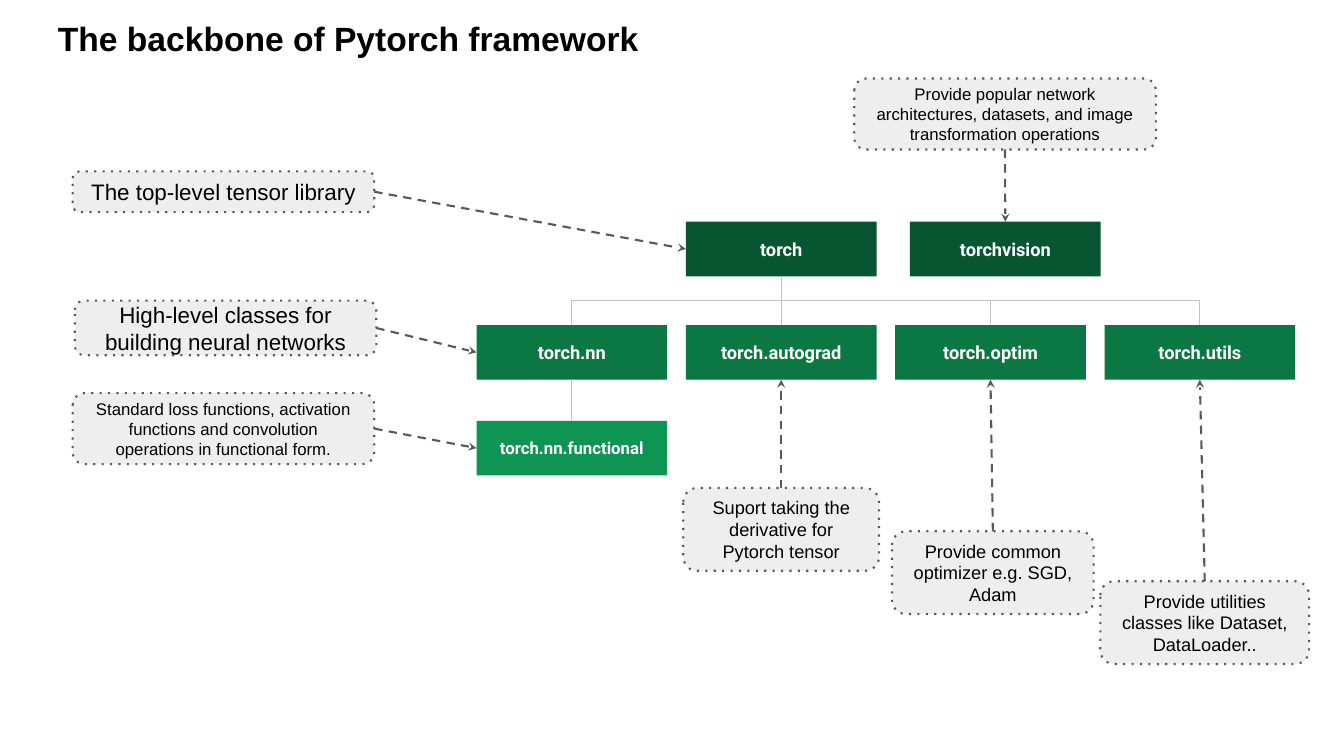
import lxml.etree
import pptx
import pptx.dml.color
import pptx.enum.shapes
import pptx.enum.text
import pptx.oxml.ns
import pptx.util

RGBColor = pptx.dml.color.RGBColor
BLACK = RGBColor(0x00, 0x00, 0x00)
WHITE = RGBColor(0xFF, 0xFF, 0xFF)
DARK_GREEN = RGBColor(0x08, 0x56, 0x31)
GREEN = RGBColor(0x0B, 0x77, 0x43)
LIGHT_GREEN = RGBColor(0x0E, 0x94, 0x53)
NOTE_FILL = RGBColor(0xEE, 0xEE, 0xEE)
NOTE_LINE = RGBColor(0x59, 0x59, 0x59)
TREE_LINE = RGBColor(0xC2, 0xC2, 0xC2)

COLUMNS, ROWS = 160, 90
CELL = pptx.util.Inches(7.5) / ROWS
TOP, LEFT, BOTTOM, RIGHT = range(4)
MODULE_WIDTH, MODULE_HEIGHT = 22.7, 6.5
FIRST_CENTER, PITCH = 68.08, 24.92
ROOT_ROW, CHILD_ROW, LEAF_ROW = 26.4, 38.7, 50.1
SIDE_WIDTH = 35.9


def cells(count):
    return pptx.util.Emu(round(count * CELL))


def write(shape, text, size, color=BLACK, font="Arial", bold=False,
          align=pptx.enum.text.PP_ALIGN.CENTER):
    frame = shape.text_frame
    frame.word_wrap = True
    frame.vertical_anchor = pptx.enum.text.MSO_ANCHOR.MIDDLE
    frame.margin_left = frame.margin_right = cells(1.6)
    frame.margin_top = frame.margin_bottom = cells(1.6)
    paragraph = frame.paragraphs[0]
    paragraph.alignment = align
    run = paragraph.add_run()
    run.text = text
    run.font.size = pptx.util.Pt(size)
    run.font.name = font
    run.font.bold = bold
    run.font.color.rgb = color


def add_xml(parent, tag, **attributes):
    lxml.etree.SubElement(parent, pptx.oxml.ns.qn(tag), **attributes)


class ModuleDiagram:
    """Draw module boxes, notes and their connectors on a grid of square cells."""

    def __init__(self, slide):
        self.shapes = slide.shapes

    def title(self, text, left, top, width, height):
        box = self.shapes.add_textbox(*map(cells, (left, top, width, height)))
        write(box, text, 24, bold=True, align=pptx.enum.text.PP_ALIGN.LEFT)

    def box(self, kind, fill, left, top, width, height):
        shape = self.shapes.add_shape(kind, *map(cells, (left, top, width, height)))
        shape.shadow.inherit = False
        shape.fill.solid()
        shape.fill.fore_color.rgb = fill
        shape.line.fill.background()
        return shape

    def module(self, text, center, top, fill, size=13):
        shape = self.box(pptx.enum.shapes.MSO_SHAPE.RECTANGLE, fill,
                         center - MODULE_WIDTH / 2, top, MODULE_WIDTH, MODULE_HEIGHT)
        write(shape, text, size, WHITE, "Roboto", True)
        return shape

    def stroke(self, shape, color, width, dash="solid"):
        shape.line.color.rgb = color
        shape.line.width = pptx.util.Pt(width)
        outline = shape.element.spPr.get_or_add_ln()
        add_xml(outline, "a:prstDash", val=dash)
        return outline

    def connector(self, kind, start, start_side, end, end_side):
        connector = self.shapes.add_connector(kind, 0, 0, 0, 0)
        connector.begin_connect(start, start_side)
        connector.end_connect(end, end_side)
        return connector

    def straight(self, start, start_side, end, end_side, color, width, dash="solid"):
        connector = self.connector(pptx.enum.shapes.MSO_CONNECTOR.STRAIGHT,
                                   start, start_side, end, end_side)
        outline = self.stroke(connector, color, width, dash)
        add_xml(connector.element.spPr, "a:effectLst")
        return outline

    def branch(self, parent, child):
        connector = self.connector(pptx.enum.shapes.MSO_CONNECTOR.ELBOW,
                                   child, TOP, parent, BOTTOM)
        drop = child.top - parent.top - parent.height
        offset = child.left - parent.left
        span = abs(offset)
        connector.width, connector.height = drop, span
        connector.left = (child.left + parent.left + parent.width - drop) // 2
        connector.top = child.top - (drop + span) // 2
        transform = connector.element.spPr.xfrm
        transform.flipH, transform.flipV = offset > 0, False
        transform.set("rot", "5400000" if offset > 0 else "16200000")
        self.stroke(connector, TREE_LINE, 0.75)
        add_xml(connector.element.spPr, "a:effectLst")

    def note(self, text, size, bounds, module, note_side, module_side):
        shape = self.box(pptx.enum.shapes.MSO_SHAPE.ROUNDED_RECTANGLE, NOTE_FILL, *bounds)
        self.stroke(shape, NOTE_LINE, 1.5, "dot")
        write(shape, text, size)
        outline = self.straight(shape, note_side, module, module_side,
                                NOTE_LINE, 1.5, "dash")
        add_xml(outline, "a:tailEnd", type="stealth")


def main():
    presentation = pptx.Presentation()
    presentation.slide_width = cells(COLUMNS)
    presentation.slide_height = cells(ROWS)
    diagram = ModuleDiagram(presentation.slides.add_slide(presentation.slide_layouts[6]))

    diagram.title("The backbone of Pytorch framework", 5.3, 1.2, 85, 6.7)
    torch = diagram.module("torch", FIRST_CENTER + PITCH, ROOT_ROW, DARK_GREEN)
    vision = diagram.module("torchvision", 119.68, ROOT_ROW, DARK_GREEN)
    network, autograd, optimizer, utilities = [
        diagram.module(name, FIRST_CENTER + index * PITCH, CHILD_ROW, GREEN)
        for index, name in enumerate(
            ("torch.nn", "torch.autograd", "torch.optim", "torch.utils"))]
    functional = diagram.module("torch.nn.functional", FIRST_CENTER, LEAF_ROW,
                                LIGHT_GREEN, 12)

    for child in (network, optimizer, utilities):
        diagram.branch(torch, child)
    for parent, child in ((torch, autograd), (network, functional)):
        diagram.straight(child, TOP, parent, BOTTOM, TREE_LINE, 0.75)

    notes = (
        ("The top-level tensor library", 16,
         (8.65, 20.4, SIDE_WIDTH, 4.85), torch, RIGHT, LEFT),
        ("High-level classes for building neural networks", 16,
         (8.9, 35.8, SIDE_WIDTH, 6.5), network, RIGHT, LEFT),
        ("Standard loss functions, activation functions and convolution operations "
         "in functional form.", 12,
         (8.65, 46.8, SIDE_WIDTH, 8.45), functional, RIGHT, LEFT),
        ("Provide popular network architectures, datasets, and image transformation "
         "operations", 12,
         (101.7, 9.35, SIDE_WIDTH, 8.45), vision, BOTTOM, TOP),
        ("Suport taking the derivative for Pytorch tensor", 13,
         (81.35, 58.1, 23.3, 9.85), autograd, TOP, BOTTOM),
        ("Provide common optimizer e.g. SGD, Adam", 13,
         (106.2, 63.25, 24, 9.85), optimizer, TOP, BOTTOM),
        ("Provide utilities classes like Dataset, DataLoader..", 13,
         (131, 69.2, 24.85, 9.85), utilities, TOP, BOTTOM),
    )
    for note in notes:
        diagram.note(*note)

    presentation.save("out.pptx")


if __name__ == "__main__":
    main()
